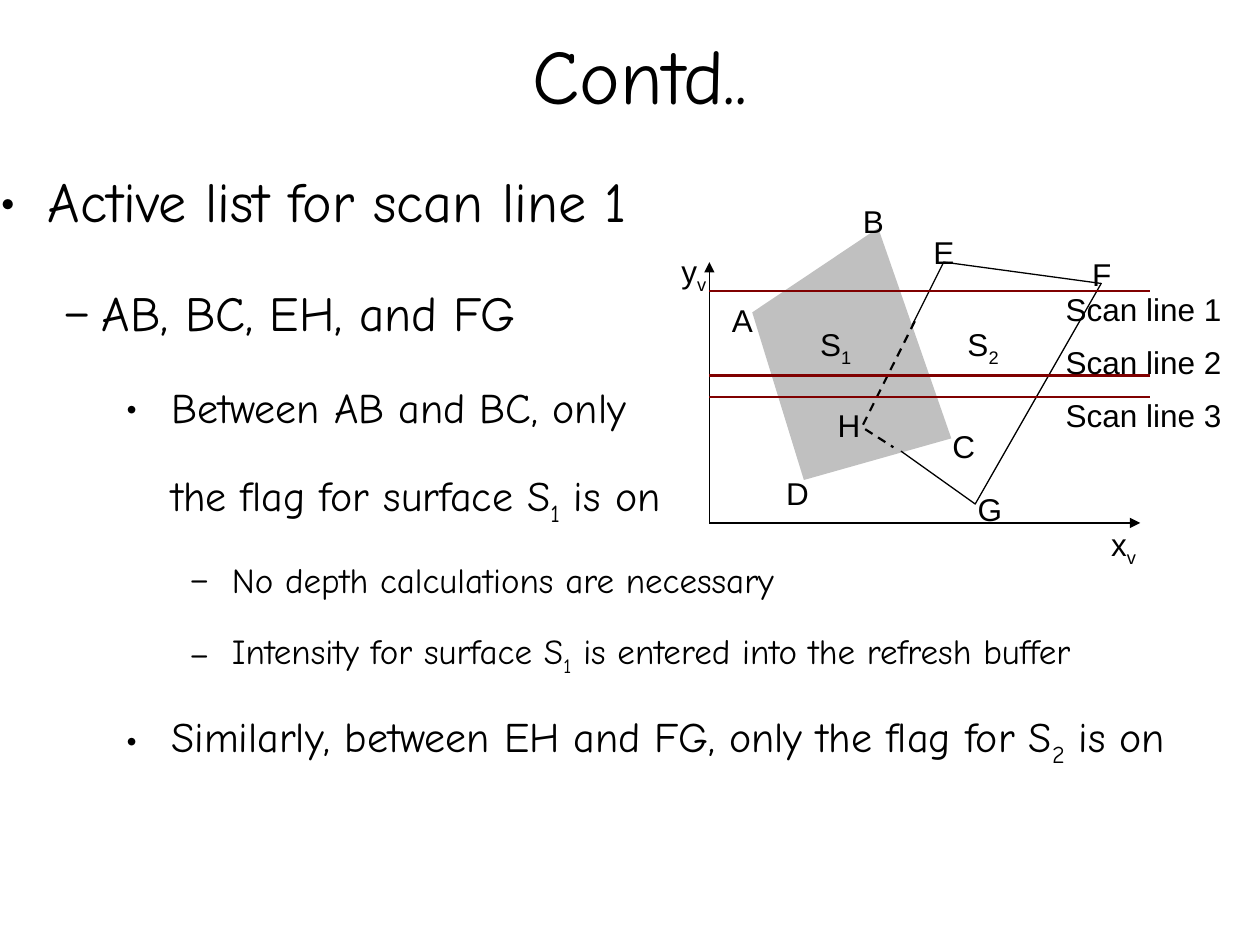
from lxml import etree
from pptx import Presentation
from pptx.dml.color import RGBColor
from pptx.enum.dml import MSO_LINE
from pptx.enum.shapes import MSO_CONNECTOR
from pptx.enum.text import MSO_ANCHOR, MSO_AUTO_SIZE, PP_ALIGN
from pptx.oxml.ns import qn
from pptx.util import Inches, Pt

BLACK = RGBColor(0x00, 0x00, 0x00)
SILVER = RGBColor(0xC0, 0xC0, 0xC0)
MAROON = RGBColor(0x80, 0x00, 0x00)
STRAIGHT, DASH = MSO_CONNECTOR.STRAIGHT, MSO_LINE.DASH
BODY_FONT, LABEL_FONT = "Comic Neue", "Arial"
LABEL_SIZE = 18

TITLE = "Contd.."

# An underscore lowers the one character after it.
# (level, bullet, text)
BODY = [
    (0, "•", "Active list for scan line 1"),
    (1, "–", "AB, BC, EH, and FG"),
    (2, "•", "Between AB and BC, only"),
    (2, None, "the flag for surface S_1 is on"),
    (3, "–", "No depth calculations are necessary"),
    (3, "–", "Intensity for surface S_1 is entered into the refresh buffer"),
    (2, "•", "Similarly, between EH and FG, only the flag for S_2 is on"),
]
# level: (size in points, space after in points, text indent, bullet hang in inches)
LEVELS = {
    0: (32, 14.3, 0.38, 0.38),
    1: (28, 11.4, 0.81, 0.31),
    2: (24, 8.5, 1.36, 0.36),
    3: (20, 5.8, 1.84, 0.34),
}

# Diagram, in inches on the slide
ORIGIN = (5.63, 4.15)
AXIS_ENDS = [(5.63, 2.08), (9.05, 4.15)]
SURFACE_1 = [(6.97, 1.81), (5.97, 2.48), (6.38, 3.81), (7.55, 3.48)]
SURFACE_2_SEEN = [(7.24, 2.58), (7.49, 2.08), (8.74, 2.25), (7.74, 4), (7.15, 3.58)]
SURFACE_2_HIDDEN = [(7.26, 2.55), (6.84, 3.39), (7.09, 3.55)]
SCAN_LEVELS = [2.31, 2.98, 3.15]
SCAN_RIGHT = 9.13

# (text, left, top, width)
LABELS = [
    ("x_v", 8.72, 4.12, 0.4), ("y_v", 5.31, 1.95, 0.4),
    ("A", 5.71, 2.37, 0.36), ("B", 6.75, 1.58, 0.36),
    ("C", 7.46, 3.37, 0.38), ("D", 6.14, 3.74, 0.38),
    ("E", 7.31, 1.83, 0.36), ("F", 8.57, 2.0, 0.35),
    ("G", 7.66, 3.87, 0.39), ("H", 6.55, 3.2, 0.38),
    ("S_1", 6.41, 2.53, 0.45), ("S_2", 7.58, 2.53, 0.45),
]
SCAN_LABEL_LEFT, SCAN_LABEL_TOP, SCAN_LABEL_STEP = 8.36, 2.28, 0.42
LABELS += [
    (f"Scan line {i + 1}", SCAN_LABEL_LEFT, SCAN_LABEL_TOP + i * SCAN_LABEL_STEP, 1.5)
    for i in range(len(SCAN_LEVELS))
]


def write(para, text, font, size, spacing):
    """Fill a paragraph, lowering the character after each underscore."""
    para.font.name, para.font.size = font, Pt(size)
    para.font.color.rgb = BLACK
    para.line_spacing = spacing
    first, *rest = text.split("_")
    para.add_run().text = first
    for part in rest:
        span = para.add_run()
        span.text = part[0]
        span.font._element.set("baseline", "-25000")
        if part[1:]:
            para.add_run().text = part[1:]


def set_bullet(para, bullet, indent, hang):
    props = para._p.get_or_add_pPr()
    props.set("marL", str(Inches(indent)))
    props.set("indent", str(-Inches(hang) if bullet else 0))
    if bullet:
        marks = [("a:buFont", {"typeface": BODY_FONT}), ("a:buChar", {"char": bullet})]
    else:
        marks = [("a:buNone", {})]
    for tag, values in marks:
        mark = etree.Element(qn(tag), values)
        props.insert_element_before(mark, "a:tabLst", "a:defRPr", "a:extLst")


def add_line(shapes, start, end, color, width, arrow=False):
    line = shapes.add_connector(STRAIGHT, *map(Inches, start + end))
    line.line.color.rgb, line.line.width = color, Pt(width)
    if arrow:
        etree.SubElement(line.line._get_or_add_ln(), qn("a:tailEnd"), type="triangle")
    etree.SubElement(line._element.spPr, qn("a:effectLst"))


def add_outline(shapes, points, close=False):
    """Draw an unfilled, unlined path through the points and return it."""
    start, *rest = [(Inches(x), Inches(y)) for x, y in points]
    builder = shapes.build_freeform(*start)
    builder.add_line_segments(rest, close=close)
    shape = builder.convert_to_shape()
    shape.shadow.inherit = False
    shape.fill.background()
    shape.line.fill.background()
    return shape


def add_title(page):
    title = page.shapes.title
    title.left, title.top, title.width, title.height = map(Inches, (0.58, 0, 9, 1.25))
    frame = title.text_frame
    frame.vertical_anchor = MSO_ANCHOR.MIDDLE
    frame.margin_left = frame.margin_right = frame.margin_top = frame.margin_bottom = 0
    frame.paragraphs[0].alignment = PP_ALIGN.CENTER
    write(frame.paragraphs[0], TITLE, BODY_FONT, 44, 0.93)


def add_body(page):
    frame = page.shapes.add_textbox(*map(Inches, (0, 1.08, 9.5, 5.62))).text_frame
    frame.word_wrap = True
    frame.margin_left = frame.margin_right = frame.margin_bottom = 0
    frame.margin_top = Inches(0.03)
    for i, (level, bullet, text) in enumerate(BODY):
        para = frame.add_paragraph() if i else frame.paragraphs[0]
        size, after, indent, hang = LEVELS[level]
        para.level = level
        write(para, text, BODY_FONT, size, 1.4)
        para.space_after = Pt(after)
        set_bullet(para, bullet, indent, hang)


def add_diagram(page):
    shapes = page.shapes.add_group_shape().shapes
    for end in AXIS_ENDS:
        add_line(shapes, ORIGIN, end, BLACK, 0.75, arrow=True)

    surface = add_outline(shapes, SURFACE_1, close=True)
    surface.fill.solid()
    surface.fill.fore_color.rgb = SILVER
    seen = add_outline(shapes, SURFACE_2_SEEN)
    seen.line.color.rgb, seen.line.width = BLACK, Pt(0.75)
    hidden = add_outline(shapes, SURFACE_2_HIDDEN)
    hidden.line.color.rgb, hidden.line.width = BLACK, Pt(1.25)
    hidden.line.dash_style = DASH

    for y in SCAN_LEVELS:
        add_line(shapes, (ORIGIN[0], y), (SCAN_RIGHT, y), MAROON, 1.5)

    for text, left, top, width in LABELS:
        height = 0.42 if "_" in text else 0.38
        frame = shapes.add_textbox(*map(Inches, (left, top, width, height))).text_frame
        frame.word_wrap = False
        frame.auto_size = MSO_AUTO_SIZE.SHAPE_TO_FIT_TEXT
        write(frame.paragraphs[0], text, LABEL_FONT, LABEL_SIZE, 0.93)


def main():
    deck = Presentation()
    deck.slide_width, deck.slide_height = Inches(10), Inches(7.5)
    page = deck.slides.add_slide(deck.slide_layouts.get_by_name("Title Only"))
    add_title(page)
    add_body(page)
    add_diagram(page)
    deck.save("out.pptx")


if __name__ == "__main__":
    main()
